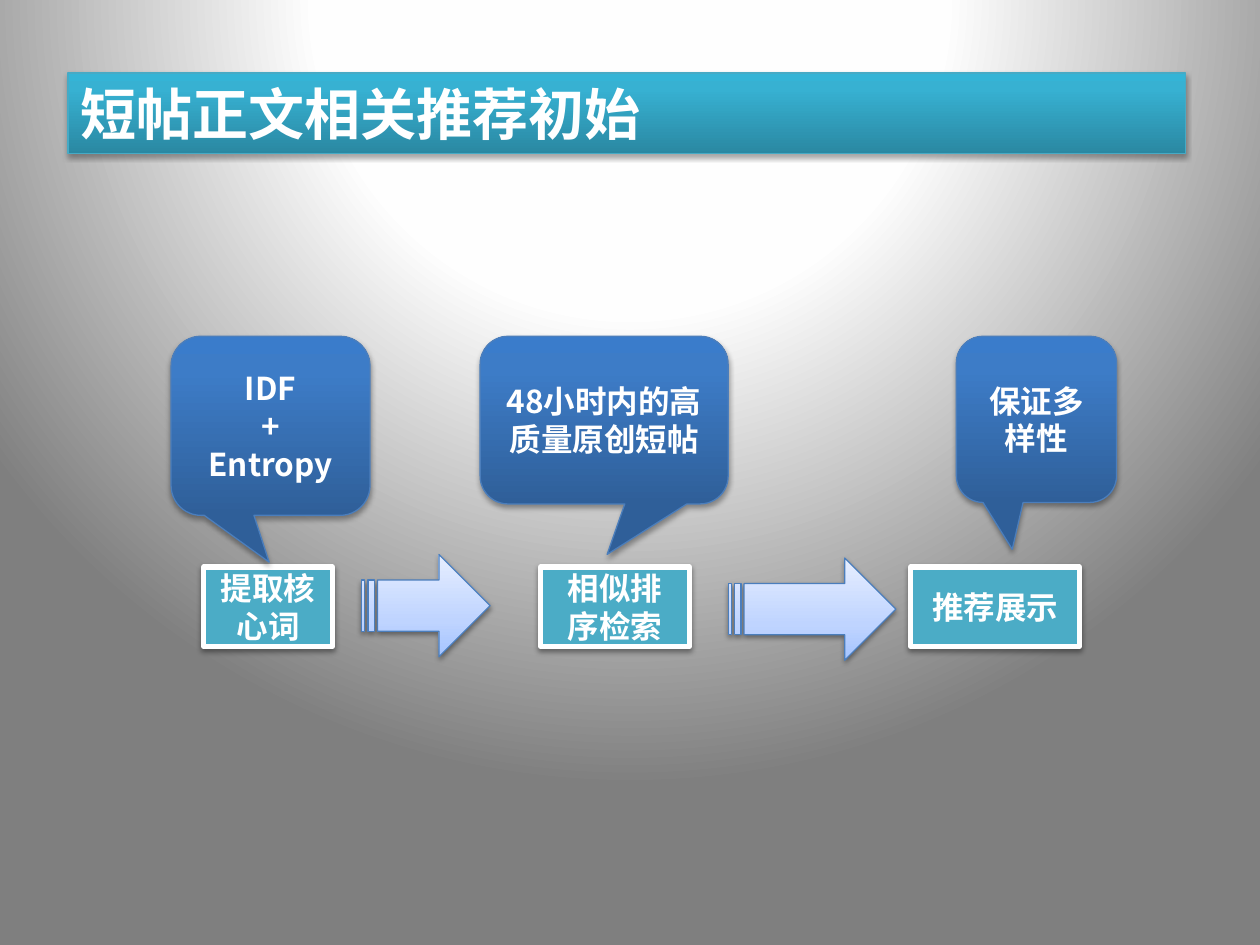
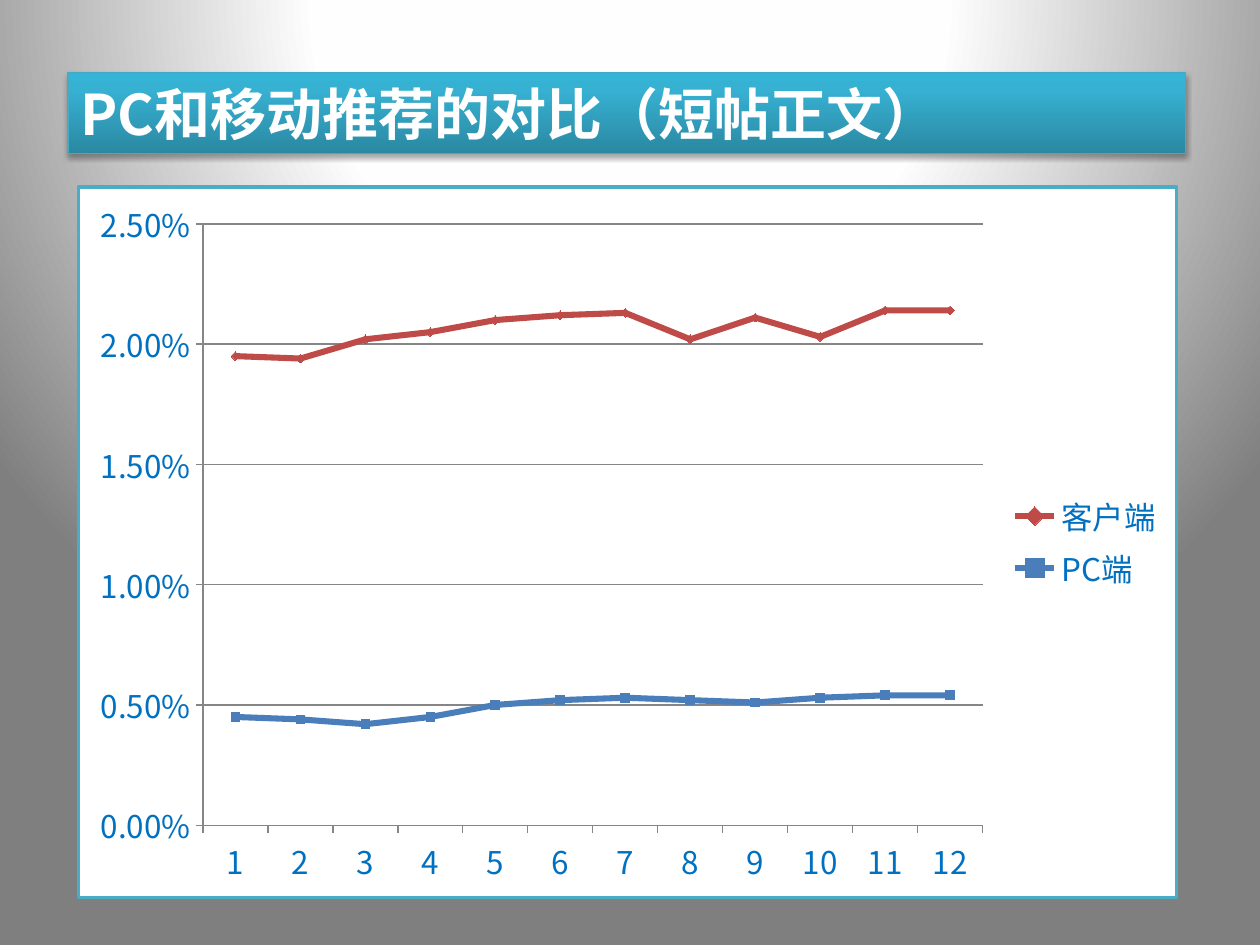
"""Two slides on related-post recommendation: a process flow and a line chart."""
from collections import namedtuple

import lxml.etree
import pptx
import pptx.chart.data
import pptx.dml.color
import pptx.enum.chart
import pptx.enum.shapes
import pptx.enum.text
import pptx.oxml
import pptx.oxml.ns
import pptx.util

Cm = pptx.util.Cm
Pt = pptx.util.Pt
qn = pptx.oxml.ns.qn
SHAPE = pptx.enum.shapes.MSO_SHAPE
ALIGN = pptx.enum.text.PP_ALIGN
ANCHOR = pptx.enum.text.MSO_ANCHOR

Box = namedtuple("Box", "left top width height")
FONT = "Noto Sans CJK SC"
COLOURS = {
    "white": "FFFFFF", "black": "000000", "teal": "4BACC6",
    "title_line": "46AAC5", "blue_line": "4B7EBC", "chart_text": "0070C0",
    "grid": "868686", "pc": "4A7EBB", "client": "BE4B48",
}
GRADIENTS = {
    "page": [(0, "FFFFFF"), (40, "FEFEFE"), (100, "7F7F7F")],
    "title": [(0, "2A88A2"), (80, "37B1D2"), (100, "34B4D6")],
    "callout": [(0, "2F5F99"), (80, "3D7CC7"), (100, "3A7CCB")],
    "arrow": [(0, "A4C4FF"), (35, "BFD4FF"), (100, "E6EEFF")],
}
TITLE_BOX = Box(1.37, 1.47, 22.53, 1.63)
FLOW_BOX = Box(3.45, 6.78, 19.06, 6.53)
CHART_BOX = Box(1.55, 3.73, 22.2, 14.4)


def colour(name):
    """Return the named colour as an RGBColor."""
    return pptx.dml.color.RGBColor.from_string(COLOURS[name])


def child(parent, tag, **attributes):
    """Append an XML element to parent and return it."""
    element = lxml.etree.SubElement(parent, qn(tag))
    for key, value in attributes.items():
        element.set(key, str(value))
    return element


def fill_gradient(fill, owner, name):
    """Fill with a named gradient: circular for the page, vertical otherwise."""
    fill.gradient()
    gradient = next(owner.iter(qn("a:gradFill")))
    for old in list(gradient):
        gradient.remove(old)
    stops = child(gradient, "a:gsLst")
    for position, value in GRADIENTS[name]:
        child(child(stops, "a:gs", pos=position * 1000), "a:srgbClr", val=value)
    if name == "page":
        circle = child(gradient, "a:path", path="circle")
        child(circle, "a:fillToRect", l=50000, t=-80000, r=50000, b=180000)
    else:
        child(gradient, "a:lin", ang=16200000, scaled=0)


def add_shadow(shape, opacity, distance):
    """Give a shape a soft shadow straight below it."""
    shape.shadow.inherit = False
    effects = shape._element.spPr.find(qn("a:effectLst"))
    shadow = child(effects, "a:outerShdw", blurRad=Pt(3.1), dist=Pt(distance),
                   dir=5400000, rotWithShape=0)
    black = child(shadow, "a:srgbClr", val=COLOURS["black"])
    child(black, "a:alpha", val=opacity * 1000)


def style_font(font, owner, size, colour_name, bold):
    """Set size, colour and typeface, including East Asian text."""
    font.size = Pt(size)
    font.bold = bold
    font.color.rgb = colour(colour_name)
    font.name = FONT
    child(next(owner.iter(qn("a:defRPr"))), "a:ea", typeface=FONT)


def add_block(page, kind, box, line, line_width, gradient=None, strong=False):
    """Add a shadowed shape with a gradient or plain teal fill."""
    shape = page.shapes.add_shape(kind, *map(Cm, box))
    if gradient:
        fill_gradient(shape.fill, shape._element.spPr, gradient)
    else:
        shape.fill.solid()
        shape.fill.fore_color.rgb = colour("teal")
    shape.line.color.rgb = colour(line)
    shape.line.width = Pt(line_width)
    add_shadow(shape, *((35, 1.8) if strong else (38, 1.6)))
    return shape


def write_text(shape, lines, size=18, align=ALIGN.CENTER, anchor=ANCHOR.MIDDLE):
    """Write bold white paragraphs in a shape."""
    frame = shape.text_frame
    frame.word_wrap = True
    frame.vertical_anchor = anchor
    for index, line in enumerate(lines):
        para = frame.add_paragraph() if index else frame.paragraphs[0]
        para.text = line
        para.alignment = align
        style_font(para.font, para._p, size, "white", True)


def add_page(deck, title):
    """Add a blank page with the shared background and title band."""
    page = deck.slides.add_slide(deck.slide_layouts[6])
    fill_gradient(page.background.fill, page.element, "page")
    band = add_block(page, SHAPE.RECTANGLE, TITLE_BOX, "title_line", 0.75, "title", True)
    write_text(band, [title], 32, ALIGN.LEFT, ANCHOR.TOP)
    return page


def draw_flow(page, box):
    """Draw the three steps, the arrows between them and their callouts."""
    steps = [("提取核心词", 0.66, 2.59), ("相似排序检索", 7.45, 3.0), ("推荐展示", 14.91, 3.4)]
    arrows = [(3.84, 4.4, 2.59), (11.23, 4.47, 3.38)]
    callouts = [
        (["IDF", "+", "Entropy"], 0, 4.01, 3.61, (-0.007, 0.761)),
        (["48小时内的高质量原创短帖"], 6.23, 5.0, 3.38, (0.012, 0.801)),
        (["保证多样性"], 15.83, 3.23, 3.35, (-0.151, 0.782)),
    ]
    for text, left, width in steps:
        place = Box(box.left + left, box.top + 4.65, width, 1.6)
        write_text(add_block(page, SHAPE.RECTANGLE, place, "white", 3), [text])
    for left, top, width in arrows:
        place = Box(box.left + left, box.top + top, width, 2.06)
        add_block(page, SHAPE.STRIPED_RIGHT_ARROW, place, "blue_line", 0.75, "arrow")
    for lines, left, width, height, tip in callouts:
        place = Box(box.left + left, box.top, width, height)
        callout = add_block(page, SHAPE.ROUNDED_RECTANGULAR_CALLOUT, place,
                            "blue_line", 0.75, "callout", True)
        callout.adjustments[0], callout.adjustments[1] = tip
        write_text(callout, lines)


def frame_chart(chart):
    """Give the chart area a white fill and a teal border."""
    space = chart.element
    area = child(space, "c:spPr")
    child(child(area, "a:solidFill"), "a:srgbClr", val=COLOURS["white"])
    border = child(area, "a:ln", w=Pt(2))
    child(child(border, "a:solidFill"), "a:srgbClr", val=COLOURS["teal"])
    space.find(qn("c:txPr")).addprevious(area)


def draw_rate_chart(page, box):
    """Draw the stacked line chart of the rates on PC and client."""
    enums = pptx.enum.chart
    data = pptx.chart.data.CategoryChartData(number_format="0.00%")
    data.categories = [str(number) for number in range(1, 13)]
    data.add_series("PC端", [0.0045, 0.0044, 0.0042, 0.0045, 0.005, 0.0052,
                            0.0053, 0.0052, 0.0051, 0.0053, 0.0054, 0.0054])
    data.add_series("客户端", [0.015, 0.015, 0.016, 0.016, 0.016, 0.016,
                            0.016, 0.015, 0.016, 0.015, 0.016, 0.016])
    chart = page.shapes.add_chart(enums.XL_CHART_TYPE.LINE_MARKERS_STACKED,
                                  *map(Cm, box), data).chart
    style_font(chart.font, chart.element.find(qn("c:txPr")), 18, "chart_text", False)
    frame_chart(chart)
    chart.has_title = False
    chart.has_legend = True
    chart.legend.position = enums.XL_LEGEND_POSITION.RIGHT
    chart.legend.include_in_layout = False

    values = chart.value_axis
    values.minimum_scale, values.maximum_scale, values.major_unit = 0, 0.025, 0.005
    values.tick_labels.number_format = "0.00%"
    values.tick_labels.number_format_is_linked = False
    values.has_major_gridlines = True
    for axis in (values, chart.category_axis):
        axis.major_tick_mark = enums.XL_TICK_MARK.OUTSIDE
        axis.minor_tick_mark = enums.XL_TICK_MARK.NONE
    for ruled in (values, chart.category_axis, values.major_gridlines):
        ruled.format.line.color.rgb = colour("grid")
        ruled.format.line.width = Pt(0.75)

    plot = chart.plots[0]
    plot.vary_by_categories = False
    markers = enums.XL_MARKER_STYLE
    styles = [("pc", markers.SQUARE), ("client", markers.DIAMOND)]
    for series, (name, style) in zip(plot.series, styles):
        series.smooth = False
        series.format.line.color.rgb = colour(name)
        series.format.line.width = Pt(3.5)
        series.marker.style = style
        series.marker.size = 5
        series.marker.format.fill.solid()
        series.marker.format.fill.fore_color.rgb = colour(name)
        series.marker.format.line.color.rgb = colour(name)


def main():
    """Build and save the deck."""
    deck = pptx.Presentation()
    deck.slide_width, deck.slide_height = Cm(25.4), Cm(19.05)
    draw_flow(add_page(deck, "短帖正文相关推荐初始"), FLOW_BOX)
    draw_rate_chart(add_page(deck, "PC和移动推荐的对比（短帖正文）"), CHART_BOX)
    deck.save("out.pptx")


if __name__ == "__main__":
    main()
